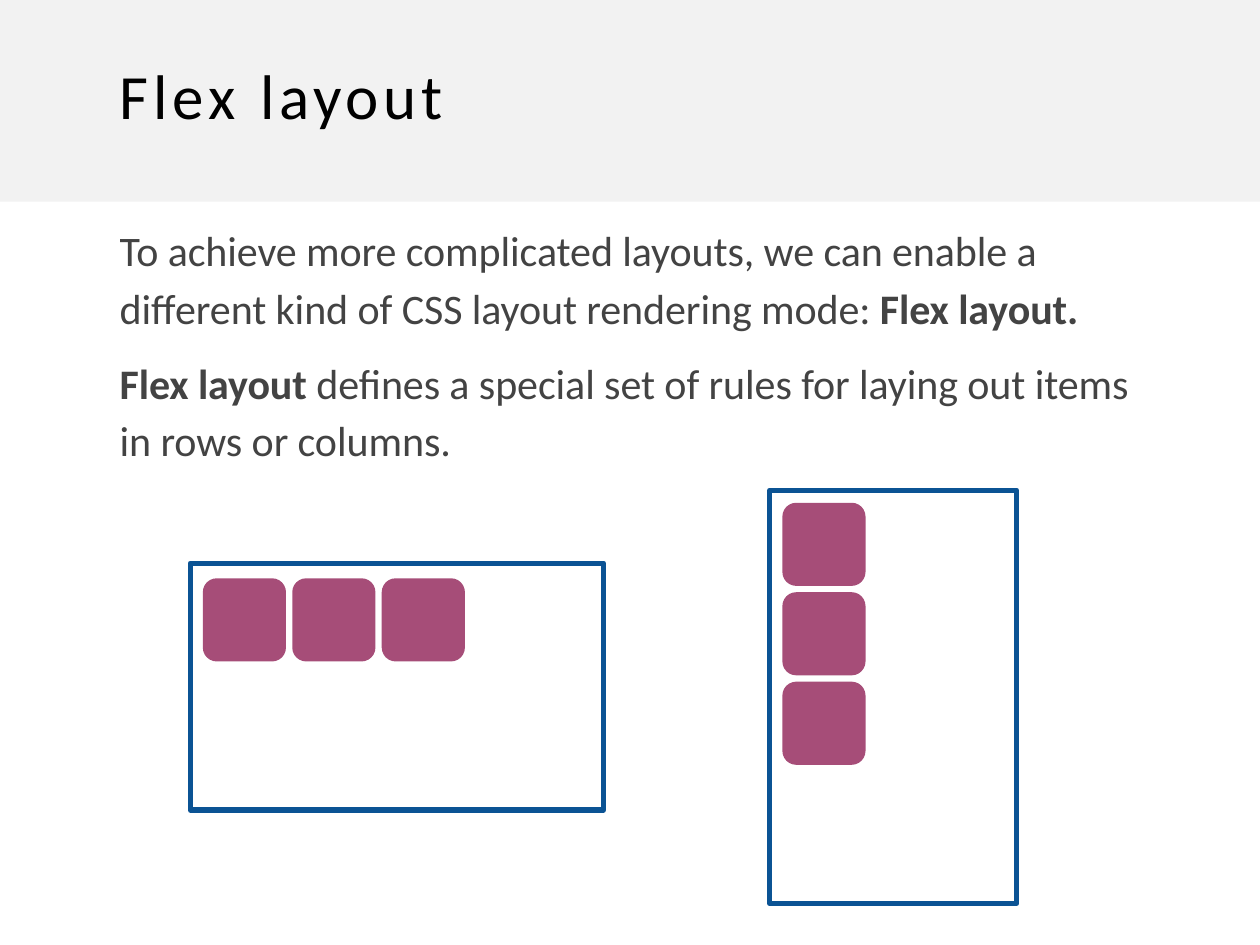
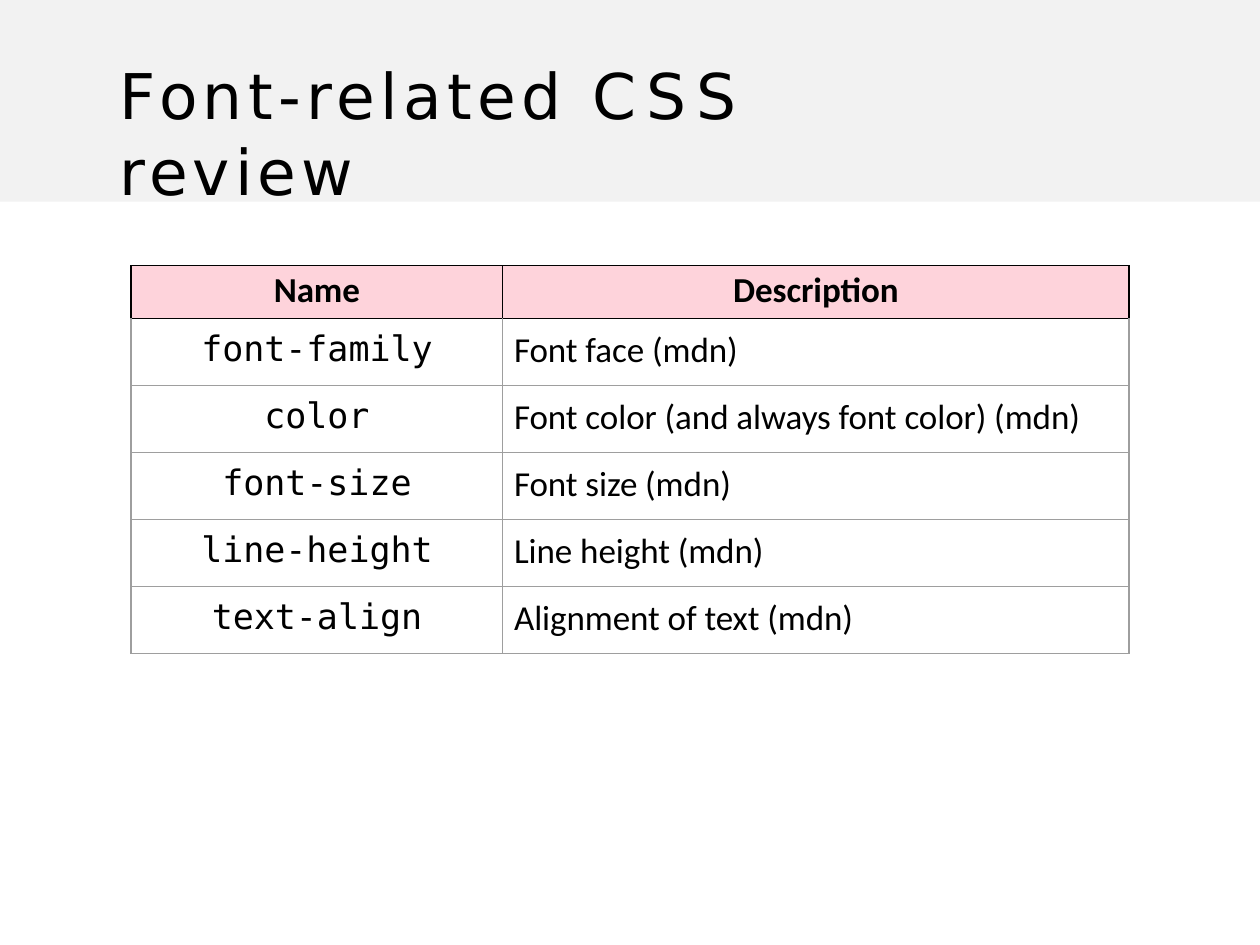
from dataclasses import dataclass
from math import cos, radians, sin

from lxml import etree
from pptx import Presentation
from pptx.dml.color import RGBColor
from pptx.enum.shapes import MSO_SHAPE
from pptx.enum.text import MSO_ANCHOR, MSO_AUTO_SIZE, PP_ALIGN
from pptx.oxml.ns import qn
from pptx.util import Inches, Pt

RECTANGLE = MSO_SHAPE.RECTANGLE
TOP = MSO_ANCHOR.TOP
NO_AUTOFIT = MSO_AUTO_SIZE.NONE
LEFT, CENTER = PP_ALIGN.LEFT, PP_ALIGN.CENTER

TITLE_AND_CONTENT, TITLE_ONLY = 1, 5  # layout positions in the template
ITEM_SIZE, ITEM_RADIUS = 0.66, 0.11


@dataclass(frozen=True)
class Theme:
    black: str = "000000"
    body_gray: str = "434343"
    band_gray: str = "F2F2F2"
    frame_blue: str = "0B5394"
    item_purple: str = "A64D78"
    header_pink: str = "FED3DB"
    border_gray: str = "9E9E9E"
    font: str = "Calibri"
    wide_font: str = "DejaVu Sans"
    code_font: str = "DejaVu Sans Mono"
    title_size: float = 36
    body_size: float = 24
    table_size: float = 20
    frame_width: float = 3
    border_width: float = 0.75
    tight: float = -0.05


def add_text(paragraph, text, *, font, size, color, bold=False, spacing=0):
    """Append one formatted run; spacing is the letter spacing in points."""
    run = paragraph.add_run()
    run.text = text
    run.font.name = font
    run.font.size = Pt(size)
    run.font.bold = bold
    run.font.color.rgb = RGBColor.from_string(color)
    run._r.get_or_add_rPr().set("spc", str(round(spacing * 100)))


def rounded_square(left, top):
    """Return the outline of one flex item, clockwise from its right side."""
    near, far = ITEM_RADIUS, ITEM_SIZE - ITEM_RADIUS
    centers = [(far, far), (near, far), (near, near), (far, near)]
    return [(Inches(left + x + ITEM_RADIUS * cos(radians(angle))),
             Inches(top + y + ITEM_RADIUS * sin(radians(angle))))
            for corner, (x, y) in enumerate(centers)
            for angle in range(corner * 90, corner * 90 + 91, 15)]


class Deck:
    """Holds the theme, the presentation and the current slide."""

    def __init__(self, theme):
        self.theme = theme
        self.presentation = Presentation()
        self.presentation.slide_width = Inches(10)
        self.presentation.slide_height = Inches(7.5)
        self.slide = None

    def add_slide(self, layout):
        layouts = self.presentation.slide_layouts
        self.slide = self.presentation.slides.add_slide(layouts[layout])

    def add_shared_band(self):
        """Draw the title band and move it behind everything on the master."""
        band = self.add_rectangle(0, 0, 10, 1.6, fill=self.theme.band_gray)
        master_tree = self.presentation.slide_master.shapes.element
        master_tree.insert(2, band.element)

    def place(self, placeholder, left, top, width, height):
        placeholder.left, placeholder.top = Inches(left), Inches(top)
        placeholder.width, placeholder.height = Inches(width), Inches(height)
        frame = placeholder.text_frame
        frame.margin_left = frame.margin_top = Inches(0.01)
        frame.margin_right = frame.margin_bottom = 0
        frame.vertical_anchor = TOP
        frame.word_wrap = True
        frame.auto_size = NO_AUTOFIT
        return frame

    def add_title(self, width, font, *parts):
        """Each part is a text and its letter spacing."""
        frame = self.place(self.slide.shapes.title, 0.94, 0.44, width, 0.63)
        paragraph = frame.paragraphs[0]
        paragraph.alignment = LEFT
        for text, spacing in parts:
            add_text(paragraph, text, font=font, size=self.theme.title_size,
                     color=self.theme.black, spacing=spacing)

    def add_body(self, *paragraphs):
        """Each paragraph is a list of texts with their bold flags."""
        frame = self.place(self.slide.placeholders[1], 0.94, 1.71, 8.11, 2)
        for index, parts in enumerate(paragraphs):
            paragraph = frame.add_paragraph() if index else frame.paragraphs[0]
            properties = paragraph._p.get_or_add_pPr()
            properties.set("marL", "0")
            properties.set("indent", "0")
            etree.SubElement(properties, qn("a:buNone"))
            paragraph.line_spacing = 1.14 if index else 1.15
            paragraph.space_before = Pt(10.2 if index else 0)
            for text, bold in parts:
                add_text(paragraph, text, font=self.theme.font,
                         size=self.theme.body_size, color=self.theme.body_gray,
                         bold=bold, spacing=self.theme.tight)

    def paint(self, shape, fill=None, line=None):
        shape.shadow.inherit = False
        if fill:
            shape.fill.solid()
            shape.fill.fore_color.rgb = RGBColor.from_string(fill)
        else:
            shape.fill.background()
        if line:
            shape.line.color.rgb = RGBColor.from_string(line)
            shape.line.width = Pt(self.theme.frame_width)
        else:
            shape.line.fill.background()

    def add_rectangle(self, left, top, width, height, **colors):
        shape = self.slide.shapes.add_shape(
            RECTANGLE, Inches(left), Inches(top), Inches(width), Inches(height))
        self.paint(shape, **colors)
        return shape

    def add_flex_box(self, left, top, width, height, inset_top, step_x, step_y):
        """Draw a container with three square items along its main axis."""
        self.add_rectangle(left, top, width, height, line=self.theme.frame_blue)
        outlines = [rounded_square(left + 0.1 + item * step_x,
                                   top + inset_top + item * step_y)
                    for item in range(3)]
        builder = self.slide.shapes.build_freeform(*outlines[0][0])
        for index, outline in enumerate(outlines):
            if index:
                builder.move_to(*outline[0])
            builder.add_line_segments(outline[1:], close=True)
        self.paint(builder.convert_to_shape(), fill=self.theme.item_purple)

    def add_table(self, left, top, column_widths, row_heights, rows):
        """The first row is the header, the first column holds code."""
        frame = self.slide.shapes.add_table(
            len(rows), len(column_widths), Inches(left), Inches(top),
            Inches(sum(column_widths)), Inches(sum(row_heights)))
        table = frame.table
        table.first_row = table.horz_banding = False
        for column, width in zip(table.columns, column_widths):
            column.width = Inches(width)
        for row, height in zip(table.rows, row_heights):
            row.height = Inches(height)
        for row_index, texts in enumerate(rows):
            for column_index, text in enumerate(texts):
                self.fill_cell(table.cell(row_index, column_index), text,
                               row_index, is_code=column_index == 0)

    def fill_cell(self, cell, text, row_index, is_code):
        theme = self.theme
        is_header = row_index == 0
        centered = is_header or is_code
        color = theme.black if is_header else theme.border_gray
        top_color = theme.black if row_index <= 1 else color
        for side, side_color in zip("LRTB", (color, color, top_color, color)):
            self.add_border(cell, side, side_color)
        if is_header:
            cell.fill.solid()
            cell.fill.fore_color.rgb = RGBColor.from_string(theme.header_pink)
        else:
            cell.fill.background()
        cell.margin_left = Inches(0 if centered else 0.09)
        cell.margin_right = cell.margin_bottom = 0
        cell.margin_top = Inches(0.03 if is_header else 0.08)
        paragraph = cell.text_frame.paragraphs[0]
        paragraph.alignment = CENTER if centered else LEFT
        add_text(paragraph, text, size=theme.table_size, color=theme.black,
                 font=theme.code_font if is_code and not is_header else theme.font,
                 bold=is_header, spacing=theme.tight)

    def add_border(self, cell, side, color):
        border = etree.SubElement(cell._tc.get_or_add_tcPr(), qn(f"a:ln{side}"),
                                  w=str(Pt(self.theme.border_width)))
        fill = etree.SubElement(border, qn("a:solidFill"))
        etree.SubElement(fill, qn("a:srgbClr"), val=color)


def build_flex_slide(deck):
    deck.add_slide(TITLE_AND_CONTENT)
    deck.add_shared_band()
    deck.add_title(2.67, deck.theme.font, ("Flex ", 2.9), ("layout", 2.75))
    deck.add_body(
        [("To achieve more complicated layouts, we can enable a different kind "
          "of CSS layout rendering mode: ", False), ("Flex layout.", True)],
        [("Flex layout ", True),
         ("defines a special set of rules for laying out items in rows or "
          "columns.", False)],
    )
    # Column container, then row container
    deck.add_flex_box(6.11, 3.89, 1.96, 3.28, inset_top=0.1, step_x=0, step_y=0.71)
    deck.add_flex_box(1.51, 4.47, 3.28, 1.96, inset_top=0.12, step_x=0.71, step_y=0)


def build_font_slide(deck):
    deck.add_slide(TITLE_ONLY)
    deck.add_title(5.92, deck.theme.wide_font,
                   ("Font-related ", 3.1), ("CSS ", 5.7), ("review", 2.9))
    table_height, header_height = 3.08, 0.42
    row_height = (table_height - header_height) / 5
    deck.add_table(1.04, 2.11, [2.95, 4.97], [header_height] + [row_height] * 5, [
        ("Name", "Description"),
        ("font-family", "Font face (mdn)"),
        ("color", "Font color (and always font color) (mdn)"),
        ("font-size", "Font size (mdn)"),
        ("line-height", "Line height (mdn)"),
        ("text-align", "Alignment of text (mdn)"),
    ])


def main():
    deck = Deck(Theme())
    build_flex_slide(deck)
    build_font_slide(deck)
    deck.presentation.save("out.pptx")


if __name__ == "__main__":
    main()
